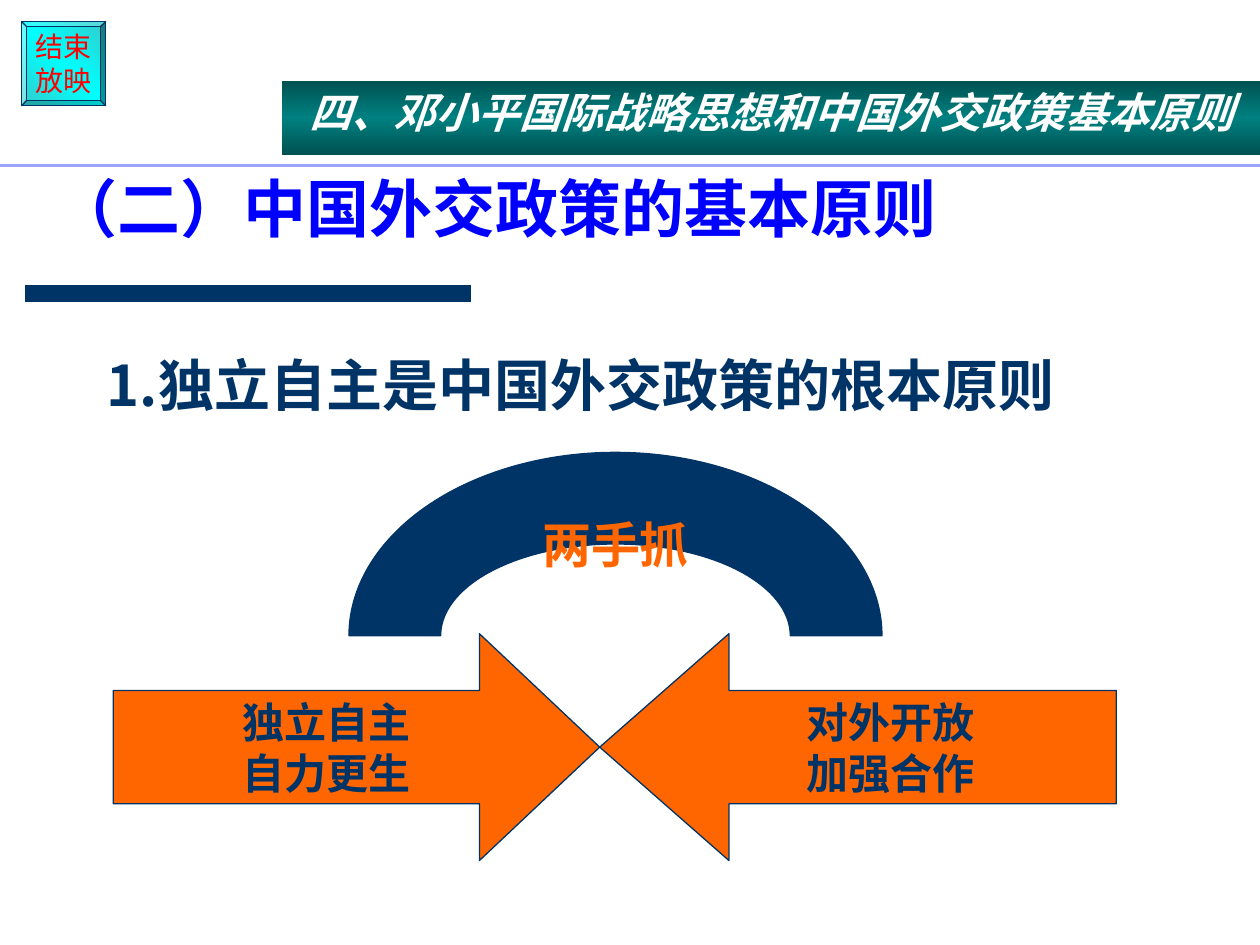
from copy import deepcopy
from dataclasses import dataclass

from pptx import Presentation
from pptx.dml.color import RGBColor
from pptx.enum.shapes import MSO_CONNECTOR, MSO_SHAPE
from pptx.enum.text import MSO_ANCHOR, MSO_AUTO_SIZE, PP_ALIGN
from pptx.oxml.ns import qn
from pptx.util import Inches, Pt

STRAIGHT = MSO_CONNECTOR.STRAIGHT
BEVEL, RECTANGLE = MSO_SHAPE.BEVEL, MSO_SHAPE.RECTANGLE
RIGHT_ARROW, LEFT_ARROW = MSO_SHAPE.RIGHT_ARROW, MSO_SHAPE.LEFT_ARROW
BLOCK_ARC = MSO_SHAPE.BLOCK_ARC
TOP, MIDDLE, BOTTOM = MSO_ANCHOR.TOP, MSO_ANCHOR.MIDDLE, MSO_ANCHOR.BOTTOM
LEFT, CENTER = PP_ALIGN.LEFT, PP_ALIGN.CENTER
NO_RESIZE = MSO_AUTO_SIZE.NONE

COLUMNS, ROWS = 100, 75
SLIDE_WIDTH, SLIDE_HEIGHT = Inches(10), Inches(7.5)
TITLE_ONLY = 5


@dataclass(frozen=True)
class Theme:
    navy: str = "003366"
    orange: str = "FF6600"
    blue: str = "0000FF"
    red: str = "FF0000"
    white: str = "FFFFFF"
    lavender: str = "9BA4FD"
    teal: tuple = ("005151", "008080", "005151")
    cyan: tuple = ("33CCCC", "00FFFF", "33CCCC")
    latin: str = "Arial"
    chinese: str = "Noto Sans CJK SC"
    title_size: int = 36
    heading_size: int = 32
    arc_size: int = 28
    body_size: int = 24
    button_size: int = 16
    outline: float = 0.75


THEME = Theme()


@dataclass(frozen=True)
class Area:
    column: float
    row: float
    columns: float
    rows: float

    def lengths(self) -> tuple:
        return (*grid_point(self.column, self.row),
                *grid_point(self.columns, self.rows))


@dataclass(frozen=True)
class Words:
    lines: tuple
    size: int
    color: str
    font: str = THEME.latin
    bold: bool = True
    italic: bool = False
    align: PP_ALIGN = CENTER
    anchor: MSO_ANCHOR = MIDDLE
    wrap: bool = True
    space_before: float = 0
    line_spacing: float = 1.0


@dataclass(frozen=True)
class Figure:
    kind: MSO_SHAPE
    area: Area
    fill: str | tuple
    words: Words
    adjustments: tuple = ()
    angle: int = 0
    outlined: bool = True


@dataclass(frozen=True)
class Rule:
    start: float
    end: float
    row: float
    color: str
    weight: float


def grid_point(column: float, row: float) -> tuple:
    return round(SLIDE_WIDTH * column / COLUMNS), round(SLIDE_HEIGHT * row / ROWS)


def write(frame, words: Words) -> None:
    frame.word_wrap = words.wrap
    frame.auto_size = NO_RESIZE
    frame.vertical_anchor = words.anchor
    for index, line in enumerate(words.lines):
        paragraph = frame.add_paragraph() if index else frame.paragraphs[0]
        paragraph.alignment = words.align
        paragraph.space_before = Pt(words.space_before)
        paragraph.line_spacing = words.line_spacing
        run = paragraph.add_run()
        run.text = line
        run.font.size = Pt(words.size)
        run.font.bold = words.bold
        run.font.italic = words.italic
        run.font.color.rgb = RGBColor.from_string(words.color)
        run.font.name = words.font
        properties = run.font._element
        east_asian = properties.makeelement(qn("a:ea"), {"typeface": THEME.chinese})
        properties.find(qn("a:latin")).addnext(east_asian)


def fill_gradient(shape, colors: tuple, angle: int) -> None:
    shape.fill.gradient()
    shape.fill.gradient_angle = angle
    stops = shape._element.spPr.find(".//" + qn("a:gsLst"))
    stops.insert(1, deepcopy(stops[0]))
    for index, (stop, color) in enumerate(zip(shape.fill.gradient_stops, colors)):
        stop.position = index / (len(colors) - 1)
        stop.color.rgb = RGBColor.from_string(color)


def draw_figure(slide, figure: Figure) -> None:
    shape = slide.shapes.add_shape(figure.kind, *figure.area.lengths())
    shape.shadow.inherit = False
    for index, value in enumerate(figure.adjustments):
        shape.adjustments[index] = value
    if isinstance(figure.fill, tuple):
        fill_gradient(shape, figure.fill, figure.angle)
    else:
        shape.fill.solid()
        shape.fill.fore_color.rgb = RGBColor.from_string(figure.fill)
    if figure.outlined:
        shape.line.color.rgb = RGBColor.from_string(THEME.navy)
        shape.line.width = Pt(THEME.outline)
    else:
        shape.line.fill.background()
    write(shape.text_frame, figure.words)


def draw_rule(slide, rule: Rule) -> None:
    line = slide.shapes.add_connector(
        STRAIGHT, *grid_point(rule.start, rule.row), *grid_point(rule.end, rule.row))
    line.line.color.rgb = RGBColor.from_string(rule.color)
    line.line.width = Pt(rule.weight)
    properties = line._element.spPr
    properties.append(properties.makeelement(qn("a:effectLst"), {}))


def arrow_words(*lines: str) -> Words:
    return Words(lines, THEME.body_size, THEME.navy)


TITLE_AREA = Area(3.3, 9.1, 93.4, 10.9)
TITLE = Words(("（二）中国外交政策的基本原则",), THEME.title_size, THEME.blue,
              font=THEME.chinese, align=LEFT, anchor=BOTTOM, line_spacing=0.9)
HEADING_AREA = Area(7.5, 27.3, 80.8, 6.4)
HEADING = Words(("1.独立自主是中国外交政策的根本原则",), THEME.heading_size, THEME.navy,
                font=THEME.chinese, align=LEFT, anchor=TOP, space_before=15)
RULES = (
    Rule(2, 37.4, 23.3, THEME.navy, 10),
    Rule(0, COLUMNS, 13.1, THEME.lavender, 1.75),
)
FIGURES = (
    Figure(BEVEL, Area(1.7, 1.7, 6.7, 6.7), THEME.cyan,
           Words(("结束", "放映"), THEME.button_size, THEME.red, bold=False, wrap=False),
           adjustments=(0.06,), angle=225),
    Figure(RIGHT_ARROW, Area(9, 50.3, 38.6, 18), THEME.orange,
           arrow_words("独立自主", "自力更生"), adjustments=(0.5, 0.53)),
    Figure(LEFT_ARROW, Area(47.6, 50.3, 41, 18), THEME.orange,
           arrow_words("对外开放", "加强合作"), adjustments=(0.5, 0.57)),
    Figure(BLOCK_ARC, Area(27.7, 35.9, 42.3, 29.1), THEME.navy,
           Words(("两手抓",), THEME.arc_size, THEME.orange, wrap=False),
           adjustments=(108, 0, 0.25)),
    Figure(RECTANGLE, Area(22.4, 6.4, 77.6, 5.9), THEME.teal,
           Words(("四、邓小平国际战略思想和中国外交政策基本原则",), THEME.body_size,
                 THEME.white, italic=True, anchor=TOP, space_before=15),
           angle=270, outlined=False),
)


def main() -> None:
    deck = Presentation()
    deck.slide_width, deck.slide_height = SLIDE_WIDTH, SLIDE_HEIGHT
    slide = deck.slides.add_slide(deck.slide_layouts[TITLE_ONLY])
    title = slide.shapes.title
    title.left, title.top, title.width, title.height = TITLE_AREA.lengths()
    write(title.text_frame, TITLE)
    for rule in RULES:
        draw_rule(slide, rule)
    heading = slide.shapes.add_textbox(*HEADING_AREA.lengths())
    write(heading.text_frame, HEADING)
    for figure in FIGURES:
        draw_figure(slide, figure)
    deck.save("out.pptx")


if __name__ == "__main__":
    main()
